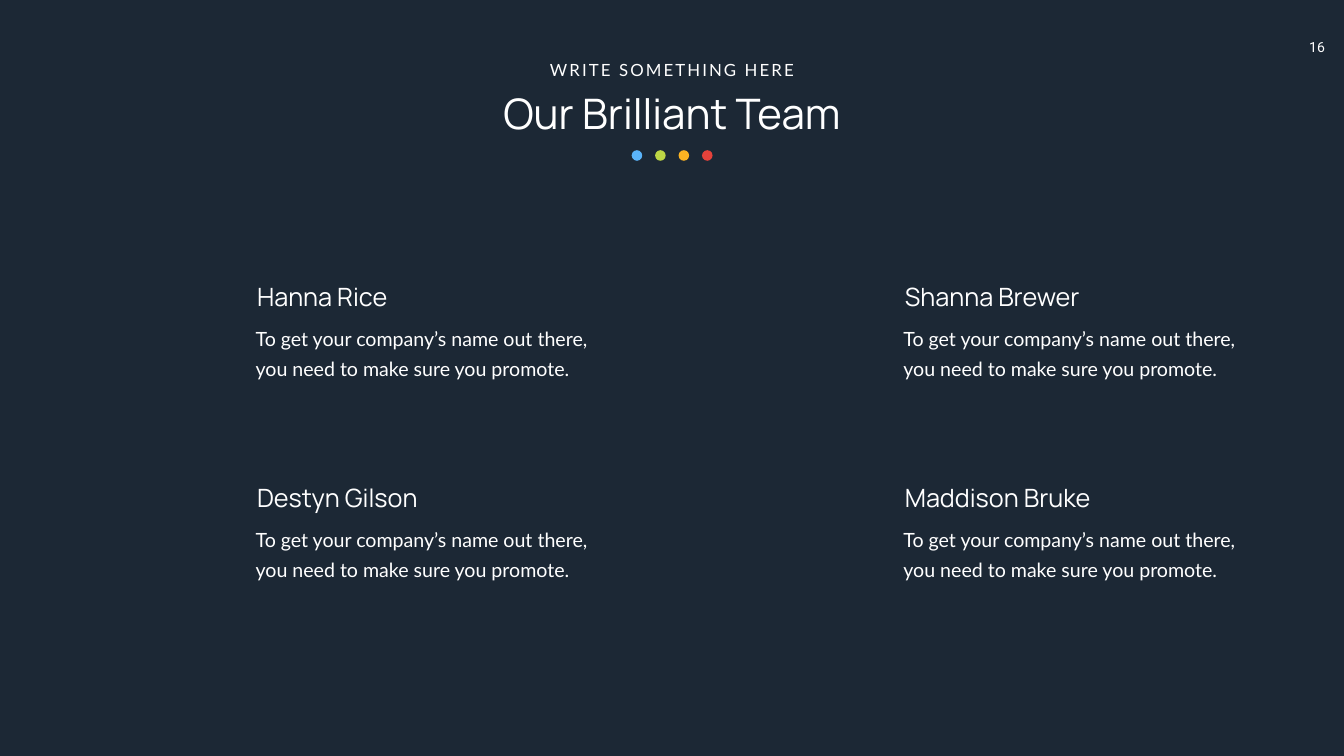
import pptx
import pptx.dml.color
import pptx.enum.shapes
import pptx.enum.text
import pptx.util
from pptx.util import Inches

ALIGN = pptx.enum.text.PP_ALIGN
ANCHOR = pptx.enum.text.MSO_ANCHOR


def color(value):
    return pptx.dml.color.RGBColor.from_string(value)


class TeamSlide:
    heading_font = "Manrope"
    body_font = "Lato"
    number_font = "Roboto"
    ink = "FFFFFF"
    backdrop = "1C2835"

    def __init__(self, deck):
        self.slide = deck.slides.add_slide(deck.slide_layouts[5])
        fill = self.slide.background.fill
        fill.solid()
        fill.fore_color.rgb = color(self.backdrop)

    def set_words(self, box, words, font, size, align=ALIGN.LEFT,
                  anchor=ANCHOR.MIDDLE, wrap=False, inset=(0.1, 0.05)):
        frame = box.text_frame
        frame.text = words
        frame.word_wrap = wrap
        frame.auto_size = pptx.enum.text.MSO_AUTO_SIZE.NONE
        frame.vertical_anchor = anchor
        frame.margin_left = frame.margin_right = Inches(inset[0])
        frame.margin_top = frame.margin_bottom = Inches(inset[1])
        paragraph = frame.paragraphs[0]
        paragraph.alignment = align
        paragraph.font.name = font
        paragraph.font.size = pptx.util.Pt(size)
        paragraph.font.color.rgb = color(self.ink)
        return paragraph

    def title(self, words, left, top, width, height):
        heading = self.slide.shapes.title
        heading.left, heading.top = Inches(left), Inches(top)
        heading.width, heading.height = Inches(width), Inches(height)
        paragraph = self.set_words(heading, words, self.heading_font, 60,
                                   align=ALIGN.CENTER, wrap=True)
        paragraph.line_spacing = 1.0
        paragraph.space_before = pptx.util.Pt(0)

    def text(self, words, left, top, width, height, font, size, **style):
        box = self.slide.shapes.add_textbox(
            Inches(left), Inches(top), Inches(width), Inches(height))
        return self.set_words(box, words, font, size, **style)

    def kicker(self, words, left, top, width, height):
        paragraph = self.text(words, left, top, width, height,
                              self.body_font, 24, align=ALIGN.CENTER)
        paragraph.runs[0]._r.get_or_add_rPr().set("spc", "300")

    def dot(self, left, top, size, fill_color):
        dot = self.slide.shapes.add_shape(
            pptx.enum.shapes.MSO_SHAPE.OVAL,
            Inches(left), Inches(top), Inches(size), Inches(size))
        dot.shadow.inherit = False
        dot.fill.solid()
        dot.fill.fore_color.rgb = color(fill_color)
        dot.line.fill.background()

    def member(self, name, bio, left, top):
        self.text(name, left, top, 4.29, 0.71, self.heading_font, 36)
        paragraph = self.text(bio, left - 0.17, top + 0.71, 7.42, 1.39,
                              self.body_font, 28, anchor=ANCHOR.TOP,
                              wrap=True, inset=(0.24, 0.12))
        paragraph.line_spacing = pptx.util.Pt(43)


def main():
    deck = pptx.Presentation()
    deck.slide_width, deck.slide_height = Inches(26.66), Inches(15)
    team = TeamSlide(deck)

    team.text("16", 25.62, 0.67, 1.01, 0.54, team.number_font, 20,
              align=ALIGN.CENTER, inset=(0.2, 0.1))
    team.title("Our Brilliant Team", 5.3, 1.68, 16.06, 1.11)
    team.kicker("WRITE SOMETHING HERE", 10.76, 1.13, 5.14, 0.5)

    for index, accent in enumerate(["5AB4FA", "BDD645", "FAB323", "E5423B"]):
        team.dot(12.53 + index * 0.465, 2.98, 0.21, accent)

    bio = "To get your company’s name out there, you need to make sure you promote."
    columns = [["Hanna Rice", "Destyn Gilson"], ["Shanna Brewer", "Maddison Bruke"]]
    for column, names in enumerate(columns):
        for row, name in enumerate(names):
            team.member(name, bio, 5 + column * 12.85, 5.52 + row * 3.99)

    deck.save("out.pptx")


if __name__ == "__main__":
    main()
